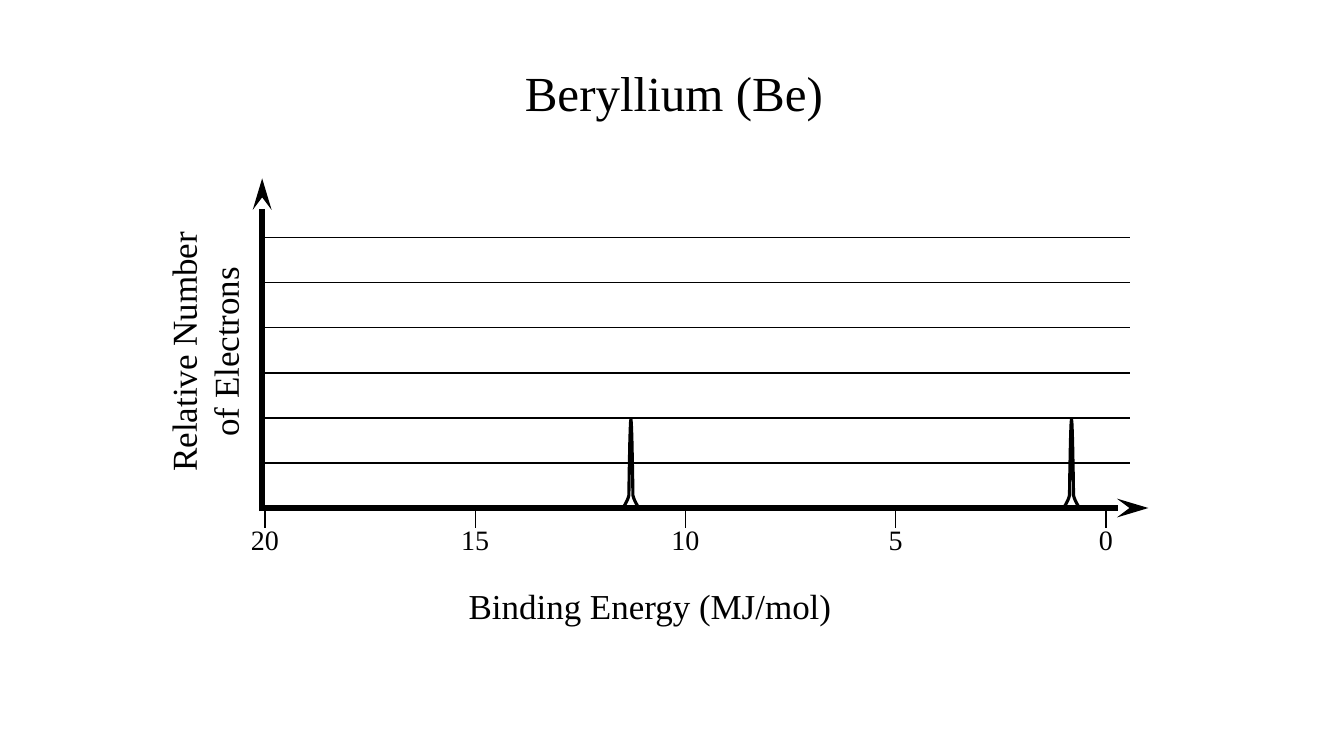
from lxml import etree
from pptx import Presentation
from pptx.dml.color import RGBColor
from pptx.enum.shapes import MSO_CONNECTOR
from pptx.enum.text import MSO_AUTO_SIZE, PP_ALIGN
from pptx.oxml.ns import qn
from pptx.util import Inches, Pt

STRAIGHT = MSO_CONNECTOR.STRAIGHT
FIT_SHAPE = MSO_AUTO_SIZE.SHAPE_TO_FIT_TEXT
LEFT, CENTER = PP_ALIGN.LEFT, PP_ALIGN.CENTER

THEME = {
    "font": "Times New Roman",
    "ink": RGBColor(0x00, 0x00, 0x00),
    "title": 35, "axis_title": 25, "tick_label": 20,
    "axis_line": 4.5, "peak_line": 2.25, "thin_line": 1,
}

# Content: lines, box (left, top, width, height), type size, alignment, rotation
TEXTS = [
    (["Beryllium (Be)"], (5.09, 0.57, 3.19, 0.69), "title", CENTER, 0),
    (["Binding Energy (MJ/mol)"], (4.55, 5.75, 3.84, 0.52), "axis_title", LEFT, 0),
    (["Relative Number", "of Electrons"], (0.72, 3.02, 2.61, 0.94), "axis_title", CENTER, 270),
]
TICK_ENERGIES = [20, 15, 10, 5, 0]
PEAK_ENERGIES = [11.3, 0.82]
GRIDLINES = 6

# Plot geometry in inches
BASELINE = 5.04
AXIS_X, AXIS_TOP, AXIS_RIGHT = 2.6, 1.77, 11.39
GRID_LEFT, GRID_RIGHT, GRID_STEP = 2.61, 11.21, 0.447
TICK_LEFT, INCHES_PER_ENERGY, TICK_LENGTH = 2.63, 0.417, 0.2
LABEL_TOP, LABEL_HEIGHT, LABEL_PADDING, DIGIT_WIDTH = 5.13, 0.44, 0.2, 0.14

# Rising half of a peak: Bezier points as (offset from apex, height)
PEAK_RISE = [
    (-0.15, 0), (-0.14, 0), (-0.08, 0), (-0.08, 0),
    (-0.07, 0.01), (-0.05, 0.05), (-0.04, 0.07),
    (-0.03, 0.09), (-0.02, 0.12), (-0.02, 0.13),
    (-0.02, 0.14), (-0.01, 0.88), (0, 0.88),
]
CURVE_STEPS = 8


def energy_x(energy):
    return TICK_LEFT + (20 - energy) * INCHES_PER_ENERGY


def add_text(slide, lines, box, size, alignment, rotation=0):
    shape = slide.shapes.add_textbox(*map(Inches, box))
    shape.rotation = rotation
    frame = shape.text_frame
    frame.word_wrap = False
    frame.auto_size = FIT_SHAPE
    for index, line in enumerate(lines):
        paragraph = frame.add_paragraph() if index else frame.paragraphs[0]
        paragraph.alignment = alignment
        run = paragraph.add_run()
        run.text = line
        run.font.name = THEME["font"]
        run.font.size = Pt(THEME[size])
        run.font.color.rgb = THEME["ink"]


def add_line(slide, start, end, weight, arrow=False):
    connector = slide.shapes.add_connector(STRAIGHT, *map(Inches, start + end))
    connector.line.color.rgb = THEME["ink"]
    connector.line.width = Pt(THEME[weight])
    properties = connector.element.spPr
    if arrow:
        etree.SubElement(properties.find(qn("a:ln")), qn("a:tailEnd"),
                         type="stealth", w="med", len="lg")
    etree.SubElement(properties, qn("a:effectLst"))


def sample_curve(points):
    sampled = [points[0]]
    for first in range(0, len(points) - 1, 3):
        a, b, c, d = points[first:first + 4]
        for step in range(1, CURVE_STEPS + 1):
            t = step / CURVE_STEPS
            u = 1 - t
            sampled.append(tuple(
                u**3 * a[i] + 3 * u * u * t * b[i] + 3 * u * t * t * c[i] + t**3 * d[i]
                for i in range(2)))
    return sampled


def add_peak(slide, energy):
    rise = sample_curve(PEAK_RISE)
    outline = rise + [(-offset, height) for offset, height in reversed(rise[:-1])]
    points = [(Inches(energy_x(energy) + offset), Inches(BASELINE - height))
              for offset, height in outline]
    builder = slide.shapes.build_freeform(*points[0])
    builder.add_line_segments(points[1:], close=False)
    shape = builder.convert_to_shape()
    shape.shadow.inherit = False
    shape.fill.background()
    shape.line.color.rgb = THEME["ink"]
    shape.line.width = Pt(THEME["peak_line"])


def main():
    presentation = Presentation()
    presentation.slide_width = Inches(13.33)
    presentation.slide_height = Inches(7.5)
    slide = presentation.slides.add_slide(presentation.slide_layouts[6])

    # Title and axis titles
    for text in TEXTS:
        add_text(slide, *text)

    # Axes
    add_line(slide, (AXIS_X, BASELINE + 0.03), (AXIS_X, AXIS_TOP), "axis_line", arrow=True)
    add_line(slide, (AXIS_X, BASELINE), (AXIS_RIGHT, BASELINE), "axis_line", arrow=True)

    # Gridlines
    for level in range(1, GRIDLINES + 1):
        y = BASELINE - level * GRID_STEP
        add_line(slide, (GRID_LEFT, y), (GRID_RIGHT, y), "thin_line")

    # Peaks
    for energy in PEAK_ENERGIES:
        add_peak(slide, energy)

    # Ticks and their labels
    for energy in TICK_ENERGIES:
        x = energy_x(energy)
        add_line(slide, (x, BASELINE), (x, BASELINE + TICK_LENGTH), "thin_line")
        label = str(energy)
        width = LABEL_PADDING + DIGIT_WIDTH * len(label)
        add_text(slide, [label], (x - width / 2, LABEL_TOP, width, LABEL_HEIGHT),
                 "tick_label", LEFT)

    presentation.save("out.pptx")


if __name__ == "__main__":
    main()
